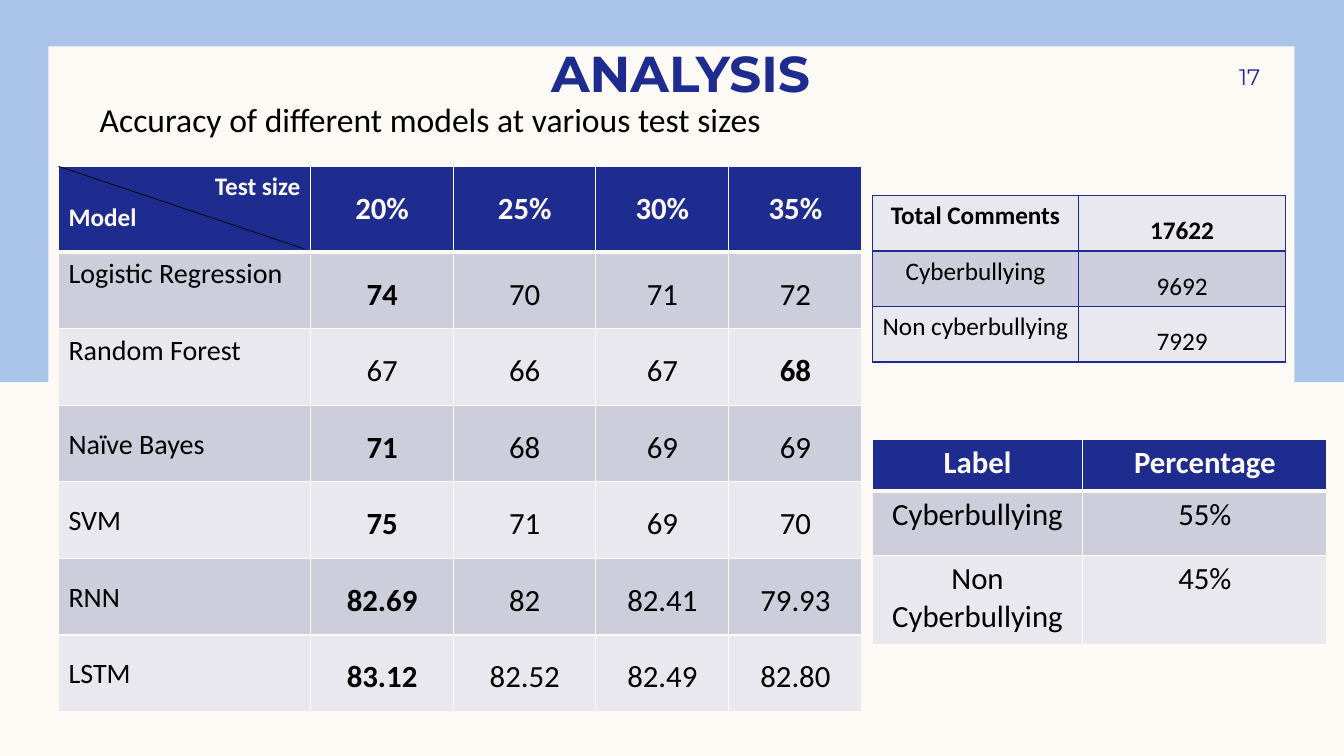
import pptx
import pptx.dml.color
import pptx.enum.shapes
import pptx.enum.text
import pptx.oxml
import pptx.oxml.ns
import pptx.util
from pptx.util import Inches

COLORS = {"cream": "FDFAF6", "sky": "AAC3E8", "navy": "1F2C8F",
          "black": "000000", "band": "CDCDDB", "pale": "E8E8EE"}
ALIGN = pptx.enum.text.PP_ALIGN
ANCHOR = pptx.enum.text.MSO_ANCHOR


def rgb(name):
    return pptx.dml.color.RGBColor.from_string(COLORS[name])


class SlideBuilder:
    """Holds the slide and its style; one method for each kind of element."""

    def __init__(self, slide, body_font="Calibri", heading_font="Montserrat"):
        self.slide = slide
        self.body_font = body_font
        self.heading_font = heading_font

    def background(self, color):
        self.slide.background.fill.solid()
        self.slide.background.fill.fore_color.rgb = rgb(color)

    def fill_frame(self, frame, text, size, color="black", bold=False,
                   align=ALIGN.LEFT, spacing=1.0, font=None):
        frame.text = text
        for paragraph in frame.paragraphs:
            paragraph.alignment = align
            paragraph.line_spacing = spacing
            paragraph.font.name = font or self.body_font
            paragraph.font.size = pptx.util.Pt(size)
            paragraph.font.bold = bold
            paragraph.font.color.rgb = rgb(color)

    def panel(self, at, color):
        panel = self.slide.shapes.add_shape(
            pptx.enum.shapes.MSO_SHAPE.RECTANGLE, *map(Inches, at))
        panel.shadow.inherit = False
        panel.fill.solid()
        panel.fill.fore_color.rgb = rgb(color)
        panel.line.fill.background()

    def title(self, at, text):
        title = self.slide.shapes.title
        # Bring the title in front of the panels
        self.slide.shapes.element.append(title.element)
        title.left, title.top, title.width, title.height = map(Inches, at)
        frame = title.text_frame
        frame.vertical_anchor = ANCHOR.BOTTOM
        frame.margin_top = frame.margin_bottom = 0
        self.fill_frame(frame, text, 36, "navy", True, ALIGN.CENTER,
                        font=self.heading_font)

    def text(self, at, text, size, right_margin=0.1, anchor=ANCHOR.TOP, **style):
        frame = self.slide.shapes.add_textbox(*map(Inches, at)).text_frame
        frame.word_wrap = True
        frame.vertical_anchor = anchor
        frame.margin_right = Inches(right_margin)
        self.fill_frame(frame, text, size, **style)

    def line(self, start, end, color, width):
        line = self.slide.shapes.add_connector(
            pptx.enum.shapes.MSO_CONNECTOR.STRAIGHT, *map(Inches, start + end))
        line.line.color.rgb = rgb(color)
        line.line.width = pptx.util.Pt(width)
        properties = line.element.find(pptx.oxml.ns.qn("p:spPr"))
        properties.append(pptx.oxml.parse_xml(
            f'<a:effectLst {pptx.oxml.ns.nsdecls("a")}/>'))

    def borders(self, cell, color, top=1, bottom=1):
        widths = {"L": 1, "R": 1, "T": top, "B": bottom}
        properties = cell._tc.get_or_add_tcPr()
        for index, (side, width) in enumerate(widths.items()):
            properties.insert(index, pptx.oxml.parse_xml(
                f'<a:ln{side} {pptx.oxml.ns.nsdecls("a")} w="{width * 12700}">'
                f'<a:solidFill><a:srgbClr val="{COLORS[color]}"/></a:solidFill>'
                f'</a:ln{side}>'))

    def table(self, at, widths, heights, rows, size, border="cream", header=True):
        """Draws a banded table; a header row gets a navy fill and a thick rule."""
        table = self.slide.shapes.add_table(
            len(rows), len(widths), *map(Inches, at),
            Inches(sum(widths)), Inches(sum(heights))).table
        table.first_row = header
        for column, width in zip(table.columns, widths):
            column.width = Inches(width)
        for r, (height, values) in enumerate(zip(heights, rows)):
            table.rows[r].height = Inches(height)
            in_header = header and r == 0
            for c, value in enumerate(values):
                cell = table.cell(r, c)
                cell.fill.solid()
                cell.fill.fore_color.rgb = rgb(
                    "navy" if in_header else "band" if r % 2 else "pale")
                self.borders(cell, border, top=3 if header and r == 1 else 1,
                             bottom=3 if in_header else 1)
                self.fill_frame(cell.text_frame, value, size,
                                "cream" if in_header else "black", r == 0, ALIGN.CENTER)
        return table


def build_accuracy(builder):
    rows = [
        ["Test size\nModel", "20%", "25%", "30%", "35%"],
        ["Logistic Regression", "74", "70", "71", "72"],
        ["Random Forest", "67", "66", "67", "68"],
        ["Naïve Bayes", "71", "68", "69", "69"],
        ["SVM", "75", "71", "69", "70"],
        ["RNN", "82.69", "82", "82.41", "79.93"],
        ["LSTM", "83.12", "82.52", "82.49", "82.80"],
    ]
    accuracy = builder.table((0.58, 1.65), [2.5, 1.42, 1.41, 1.32, 1.32],
                             [0.85] + [0.76] * 6, rows, 22)

    # Split corner cell
    corner = accuracy.cell(0, 0).text_frame
    builder.fill_frame(corner, rows[0][0], 18, "cream", True)
    corner.paragraphs[0].alignment = ALIGN.RIGHT
    builder.line((0.58, 1.65), (3.02, 2.47), "black", 0.5)

    # Model names, and each model's best score in bold
    for r, (model, *scores) in enumerate(rows[1:], start=1):
        builder.fill_frame(accuracy.cell(r, 0).text_frame, model, 20,
                           spacing=1.0 if r < 3 else 1.5)
        best = max(scores, key=float)
        for c, score in enumerate(scores, start=1):
            accuracy.cell(r, c).text_frame.paragraphs[0].font.bold = score == best
    for r in range(len(rows)):
        for c in range(1, 5):
            accuracy.cell(r, c).text_frame.paragraphs[0].line_spacing = 1.5


def main():
    presentation = pptx.Presentation()
    presentation.slide_width = Inches(13.33)
    presentation.slide_height = Inches(7.5)
    builder = SlideBuilder(presentation.slides.add_slide(presentation.slide_layouts[5]))

    # Backdrop
    builder.background("cream")
    builder.panel((-0.03, 0, 13.36, 3.79), "sky")
    builder.panel((0.48, 0.46, 12.36, 6.59), "cream")

    # Headings and page number
    builder.title((1, 0, 11.5, 1.02), "ANALYSIS")
    builder.text((11.33, 0.5, 1.17, 0.52), "17", 16, right_margin=0,
                 anchor=ANCHOR.MIDDLE, color="navy", align=ALIGN.RIGHT,
                 font=builder.heading_font)
    builder.text((0.89, 0.93, 11.89, 0.5),
                 "Accuracy of different models at various test sizes", 24)

    # Accuracy by model and test size
    build_accuracy(builder)

    # Share of each label
    builder.table((8.65, 4.36), [2.09, 2.42], [0.51, 0.64, 0.89],
                  [["Label", "Percentage"], ["Cyberbullying", "55%"],
                   ["Non Cyberbullying", "45%"]], 22)

    # Comment counts
    counts = builder.table((8.65, 1.94), [2.05, 2.05], [0.55] * 3,
                           [["Total Comments", "17622"], ["Cyberbullying", "9692"],
                            ["Non cyberbullying", "7929"]],
                           18, border="navy", header=False)
    for r in range(3):
        counts.cell(r, 1).text_frame.paragraphs[0].line_spacing = 1.5

    presentation.save("out.pptx")


if __name__ == "__main__":
    main()
